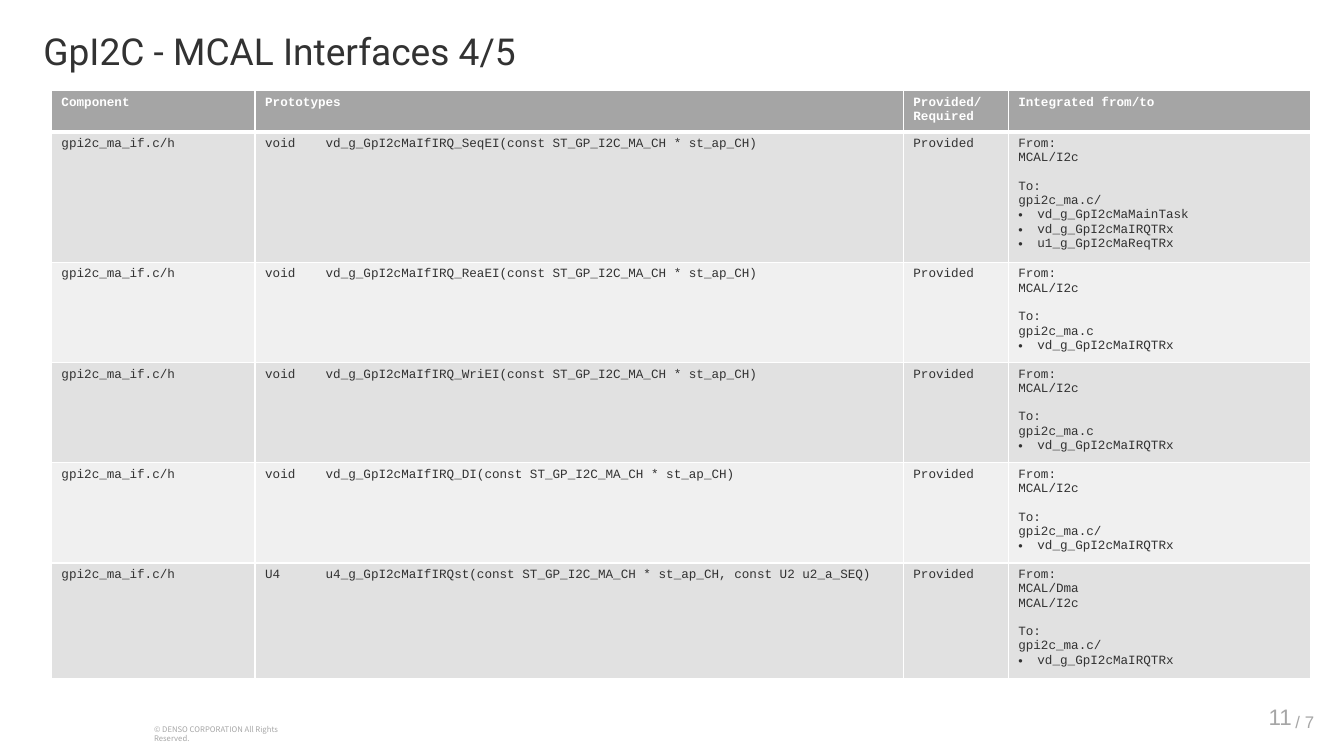
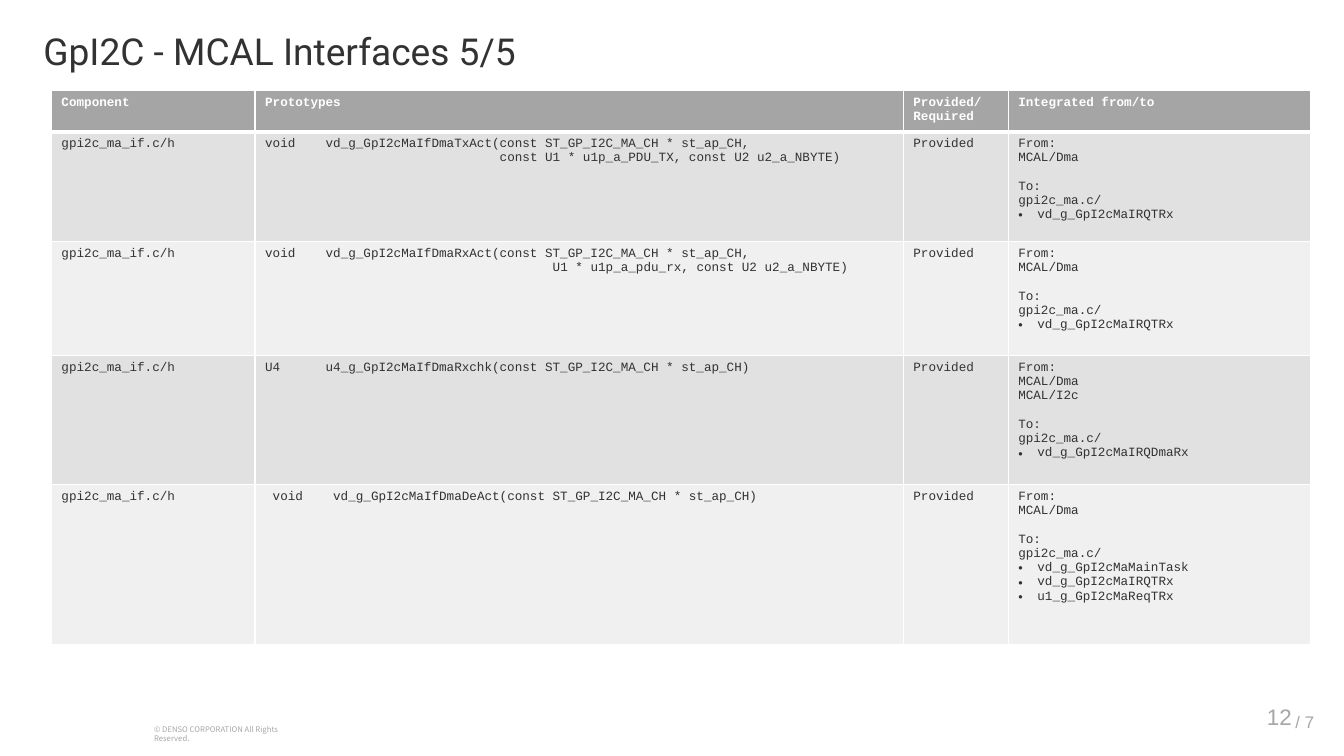
from lxml.etree import SubElement
from pptx import Presentation
from pptx.dml.color import RGBColor
from pptx.enum.text import MSO_ANCHOR as Anchor, PP_ALIGN as Align
from pptx.oxml.ns import qn
from pptx.util import Pt

PX = 9144

WHITE = RGBColor(0xFF, 0xFF, 0xFF)
INK = RGBColor(0x32, 0x32, 0x32)
FOOTER_GRAY = RGBColor(0xA6, 0xA6, 0xA6)
HEADER_GRAY = RGBColor(0xA5, 0xA5, 0xA5)
BANDS = (RGBColor(0xE1, 0xE1, 0xE1), RGBColor(0xF0, 0xF0, 0xF0))

TITLE_FONT = "Roboto"
CODE_FONT = "Courier New"
PAGE_FONT = "Arial"
COPYRIGHT_FONT = "Noto Sans CJK JP"

CODE_SIZE = 9
CHARACTER_WIDTH = 7.5
TYPE_CHARACTERS = 8
BULLET_INDENT = 19
SECTION_GAP = Pt(10.2)

COLUMN_WIDTHS = (202, 643, 104, 300)
HEADERS = ("Component", "Prototypes", "Provided/\nRequired", "Integrated from/to")
HEADER_HEIGHT = 41
COMPONENT = "gpi2c_ma_if.c/h"
DIRECTION = "Provided"

I2C = ("MCAL/I2c",)
DMA = ("MCAL/Dma",)
BOTH = DMA + I2C
TRANSFER = ("vd_g_GpI2cMaIRQTRx",)
DMA_RECEIVE = ("vd_g_GpI2cMaIRQDmaRx",)
ALL_TASKS = ("vd_g_GpI2cMaMainTask",) + TRANSFER + ("u1_g_GpI2cMaReqTRx",)

SLIDES = (
    ("11", "GpI2C - MCAL Interfaces 4/5", (
        (124, "void\tvd_g_GpI2cMaIfIRQ_SeqEI(const ST_GP_I2C_MA_CH * st_ap_CH)",
         I2C, "gpi2c_ma.c/", ALL_TASKS),
        (95, "void\tvd_g_GpI2cMaIfIRQ_ReaEI(const ST_GP_I2C_MA_CH * st_ap_CH)",
         I2C, "gpi2c_ma.c", TRANSFER),
        (95, "void\tvd_g_GpI2cMaIfIRQ_WriEI(const ST_GP_I2C_MA_CH * st_ap_CH)",
         I2C, "gpi2c_ma.c", TRANSFER),
        (95, "void\tvd_g_GpI2cMaIfIRQ_DI(const ST_GP_I2C_MA_CH * st_ap_CH)",
         I2C, "gpi2c_ma.c/", TRANSFER),
        (109, "U4\tu4_g_GpI2cMaIfIRQst(const ST_GP_I2C_MA_CH * st_ap_CH, const U2 u2_a_SEQ)",
         BOTH, "gpi2c_ma.c/", TRANSFER),
    )),
    ("12", "GpI2C - MCAL Interfaces 5/5", (
        (109, "void\tvd_g_GpI2cMaIfDmaTxAct(const ST_GP_I2C_MA_CH * st_ap_CH,\n"
              "                               const U1 * u1p_a_PDU_TX, const U2 u2_a_NBYTE)",
         DMA, "gpi2c_ma.c/", TRANSFER),
        (113, "void\tvd_g_GpI2cMaIfDmaRxAct(const ST_GP_I2C_MA_CH * st_ap_CH,\n"
              "                                      U1 * u1p_a_pdu_rx, const U2 u2_a_NBYTE)",
         DMA, "gpi2c_ma.c/", TRANSFER),
        (128, "U4\tu4_g_GpI2cMaIfDmaRxchk(const ST_GP_I2C_MA_CH * st_ap_CH)",
         BOTH, "gpi2c_ma.c/", DMA_RECEIVE),
        (159, " void\tvd_g_GpI2cMaIfDmaDeAct(const ST_GP_I2C_MA_CH * st_ap_CH)",
         DMA, "gpi2c_ma.c/", ALL_TASKS),
    )),
)


def format_runs(text_frame, font_name, size, color, bold=False):
    for paragraph in text_frame.paragraphs:
        for run in paragraph.runs:
            run.font.name = font_name
            run.font.size = Pt(size)
            run.font.color.rgb = color
            run.font.bold = bold


def add_text(slide, text, box, font_name, size, color, anchor=Anchor.TOP,
             align=Align.LEFT, left_margin=10, wrap=True):
    shape = slide.shapes.add_textbox(*(value * PX for value in box))
    text_frame = shape.text_frame
    text_frame.word_wrap = wrap
    text_frame.vertical_anchor = anchor
    text_frame.margin_left = left_margin * PX
    text_frame.text = text
    text_frame.paragraphs[0].alignment = align
    format_runs(text_frame, font_name, size, color)
    return text_frame


def add_title(slide, text):
    text_frame = add_text(slide, text, (0, 28, 1182, 45), TITLE_FONT, 26.5, INK,
                          left_margin=43)
    text_frame.paragraphs[0].line_spacing = 0.9


def add_footer(slide, page):
    add_text(slide, "© DENSO CORPORATION All Rights Reserved.", (143, 714, 170, 19),
             COPYRIGHT_FONT, 5.5, FOOTER_GRAY)
    add_text(slide, page, (1220, 693, 71, 35), PAGE_FONT, 16, FOOTER_GRAY,
             Anchor.MIDDLE, Align.RIGHT)
    add_text(slide, "/ 7", (1275, 702, 39, 28), PAGE_FONT, 12, FOOTER_GRAY,
             Anchor.MIDDLE, wrap=False)


def add_bullet(paragraph):
    properties = paragraph._p.get_or_add_pPr()
    properties.set("marL", str(BULLET_INDENT * PX))
    properties.set("indent", str(-BULLET_INDENT * PX))
    SubElement(properties, qn("a:buFont")).set("typeface", PAGE_FONT)
    SubElement(properties, qn("a:buChar")).set("char", "•")


def add_type_tab(paragraph):
    text = paragraph.text
    characters = TYPE_CHARACTERS + len(text) - len(text.lstrip())
    tabs = SubElement(paragraph._p.get_or_add_pPr(), qn("a:tabLst"))
    tab = SubElement(tabs, qn("a:tab"))
    tab.set("pos", str(round(characters * CHARACTER_WIDTH * PX)))
    tab.set("algn", "l")


def set_borders(cell, top, bottom):
    properties = cell._tc.get_or_add_tcPr()
    for side, width in (("L", 1), ("R", 1), ("T", top), ("B", bottom)):
        line = SubElement(properties, qn(f"a:ln{side}"))
        line.set("w", str(Pt(width)))
        fill = SubElement(line, qn("a:solidFill"))
        SubElement(fill, qn("a:srgbClr")).set("val", str(WHITE))


def fill_cell(cell, text, fill_color, text_color, bold=False, top=1, bottom=1):
    set_borders(cell, top, bottom)
    cell.fill.solid()
    cell.fill.fore_color.rgb = fill_color
    cell.text_frame.text = text
    format_runs(cell.text_frame, CODE_FONT, CODE_SIZE, text_color, bold)


def style_prototype(cell):
    for paragraph in cell.text_frame.paragraphs:
        if "\t" in paragraph.text:
            add_type_tab(paragraph)


def style_integration(cell, function_count):
    paragraphs = cell.text_frame.paragraphs
    for paragraph in paragraphs:
        if paragraph.text == "To:":
            paragraph.space_before = SECTION_GAP
    for paragraph in paragraphs[-function_count:]:
        add_bullet(paragraph)


def add_interface_table(slide, interfaces):
    heights = [HEADER_HEIGHT] + [interface[0] for interface in interfaces]
    frame = slide.shapes.add_table(
        len(heights), len(COLUMN_WIDTHS), 51 * PX, 90 * PX,
        sum(COLUMN_WIDTHS) * PX, sum(heights) * PX)
    table = frame.table
    table.first_row = False
    table.horz_banding = False
    for column, width in zip(table.columns, COLUMN_WIDTHS):
        column.width = width * PX
    for row, height in zip(table.rows, heights):
        row.height = height * PX

    for column_index, header in enumerate(HEADERS):
        fill_cell(table.cell(0, column_index), header, HEADER_GRAY, WHITE,
                  bold=True, bottom=3)
    for index, (_, prototype, sources, target, functions) in enumerate(interfaces):
        integration = "\n".join(("From:", *sources, "To:", target, *functions))
        cells = table.rows[index + 1].cells
        top = 3 if index == 0 else 1
        for cell, text in zip(cells, (COMPONENT, prototype, DIRECTION, integration)):
            fill_cell(cell, text, BANDS[index % 2], INK, top=top)
        style_prototype(cells[1])
        style_integration(cells[3], len(functions))


def main():
    presentation = Presentation()
    presentation.slide_width = 1333 * PX
    presentation.slide_height = 750 * PX
    for page, title, interfaces in SLIDES:
        slide = presentation.slides.add_slide(presentation.slide_layouts[6])
        add_footer(slide, page)
        add_title(slide, title)
        add_interface_table(slide, interfaces)
    presentation.save("out.pptx")


if __name__ == "__main__":
    main()
